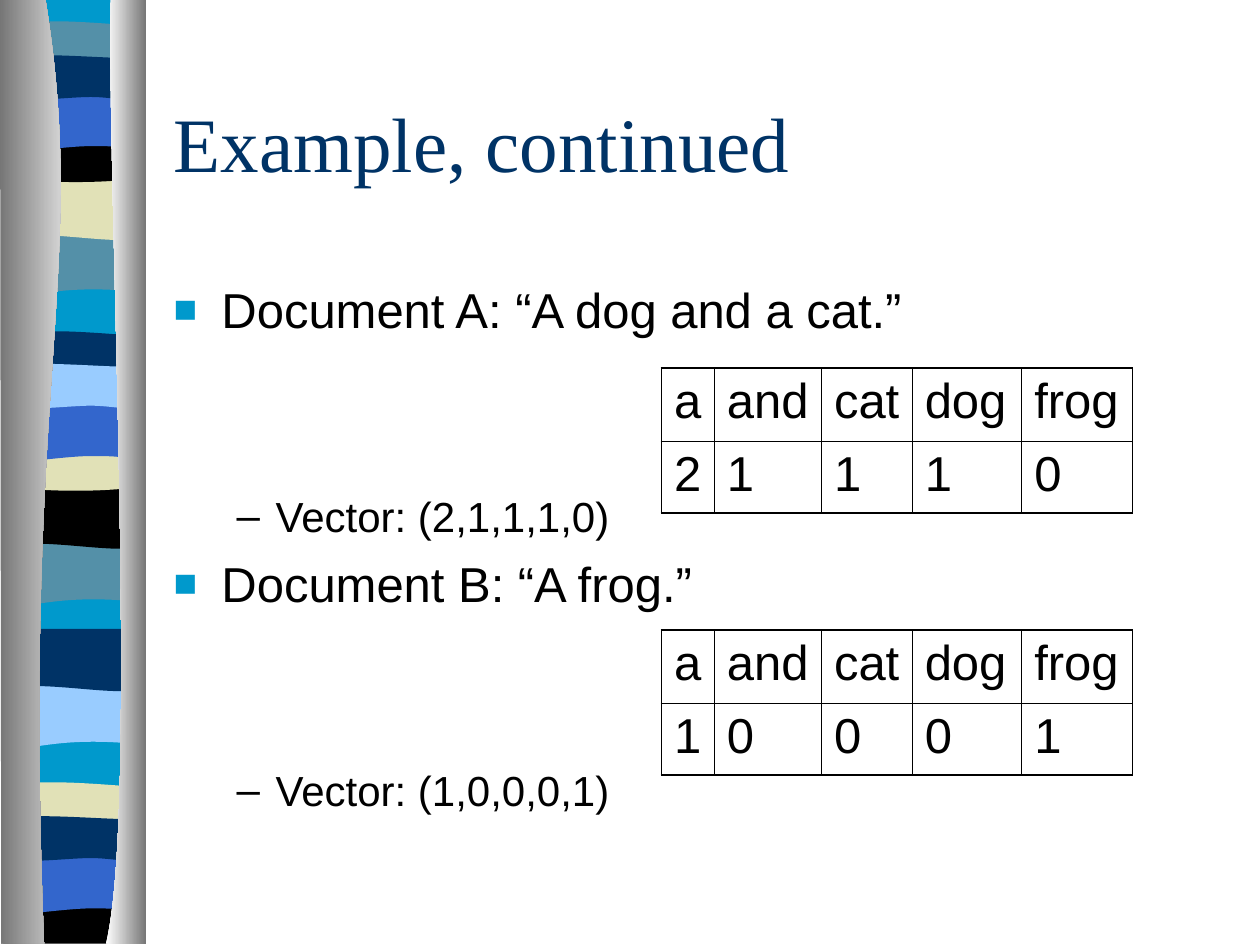
"""Build the slide with two term-count tables beside their document vectors."""
from lxml import etree
from pptx import Presentation
from pptx.dml.color import RGBColor
from pptx.enum.text import MSO_ANCHOR, PP_ALIGN
from pptx.oxml.ns import qn
from pptx.util import Inches, Pt

LEFT = PP_ALIGN.LEFT
MIDDLE, TOP = MSO_ANCHOR.MIDDLE, MSO_ANCHOR.TOP
COLORS = {
    "cyan": "0099CC", "teal": "5490A8", "sand": "E1E1B7", "black": "000000",
    "blue": "3366CC", "navy": "003366", "sky": "99CCFF", "gray": "767676",
    "white": "FFFFFF",
}


def draw_outline(shapes, start, segments, shift=0):
    """Draw a closed outline from line ends (x, y) and cubic segments (six numbers)."""
    points = [pair for segment in segments for pair in zip(segment[::2], segment[1::2])]
    builder = shapes.build_freeform(Inches(start[0]), Inches(start[1] + shift), scale=1.0)
    builder.add_line_segments([(Inches(x), Inches(y + shift)) for x, y in points])
    outline = builder.convert_to_shape()
    steps = iter(list(outline._element.iter(qn("a:lnTo"))))
    for segment in segments:
        step = next(steps)
        if len(segment) == 6:
            curve = etree.Element(qn("a:cubicBezTo"))
            step.addprevious(curve)
            for control in (step, next(steps), next(steps)):
                curve.append(control[0])
                control.getparent().remove(control)
    outline.shadow.inherit = False
    outline.line.fill.background()
    return outline


def add_run(paragraph, text, size, font, color):
    run = paragraph.add_run()
    run.text = text
    run.font.size = Pt(size)
    run.font.name = font
    run.font.color.rgb = RGBColor.from_string(COLORS[color])


prs = Presentation()
prs.slide_width, prs.slide_height = Inches(10), Inches(7.5)
slide = prs.slides.add_slide(prs.slide_layouts[5])

band_profiles = {
    "block": [(1.14, 7.48), (0.06, 7.48), (0.06, 0)],
    "floor": [(1.14, 0.37), (0.06, 0.37), (0.06, 0), (0.72, 0.05, 0.91, 0, 1.14, 0)],
    "dip": [(1.14, 0.47), (0.39, 0.39, 0.24, 0.55, 0.06, 0.47), (0.06, 0)],
    "swell": [(1.14, 0.47), (0.96, 0.55, 0.39, 0.41, 0.06, 0.47), (0.06, 0)],
    "lens": [(1.14, 0.24), (0.96, 0.28, 0.24, 0.28, 0.06, 0.24), (0.06, 0),
             (0.12, -0.05, 0.29, -0.04, 0.47, -0.04), (0.65, -0.04, 1, -0.01, 1.14, 0)],
    "bowl": [(1.14, 0.32), (0.96, 0.38, 0.24, 0.38, 0.06, 0.32), (0.06, 0),
             (0.72, 0.05, 0.91, 0, 1.14, 0)],
    "arch": [(1.14, 0.47), (0.97, 0.42, 0.9, 0.42, 0.72, 0.42),
             (0.54, 0.42, 0.22, 0.47, 0.06, 0.47), (0.06, 0)],
    "ripple": [(1.14, 0.31), (1.07, 0.36, 0.9, 0.31, 0.72, 0.31),
               (0.54, 0.31, 0.17, 0.36, 0.06, 0.31), (0.06, 0),
               (0.21, -0.05, 0.79, 0, 0.97, 0), (1.15, 0, 1.1, 0, 1.14, 0)],
}
bands = [
    ("block", -0.01, "cyan"),
    ("dip", 1.85, "teal"), ("swell", 1.41, "sand"), ("lens", 0.21, "teal"),
    ("bowl", 1.08, "black"), ("arch", 0.74, "blue"), ("ripple", 0.46, "navy"),
    ("dip", 4.31, "teal"), ("swell", 3.86, "black"), ("lens", 2.67, "navy"),
    ("bowl", 3.53, "sand"), ("arch", 3.2, "blue"), ("ripple", 2.91, "sky"),
    ("dip", 5.44, "sky"), ("swell", 4.99, "navy"), ("lens", 6.25, "sand"),
    ("floor", 7.12, "black"), ("arch", 6.79, "blue"), ("ripple", 6.5, "navy"),
]
for profile, top, color in bands:
    band = draw_outline(slide.shapes, (1.14, 0), band_profiles[profile], top)
    band.fill.solid()
    band.fill.fore_color.rgb = RGBColor.from_string(COLORS[color])

curtains = [
    ((0.36, -0.01), [(0.71, 2.16, 0.17, 2.96, 0.35, 7.49), (0.01, 7.49), (0, -0.01)],
     ("gray", "white")),
    ((0.88, -0.01), [(0.84, 1.25, 1.11, 6.46, 0.84, 7.49), (1.16, 7.49), (1.16, 0)],
     ("white", "gray")),
]
for start, segments, shades in curtains:
    curtain = draw_outline(slide.shapes, start, segments)
    curtain.fill.gradient()
    curtain.fill.gradient_angle = 0
    for position, (stop, shade) in enumerate(zip(curtain.fill.gradient_stops, shades)):
        stop.position = position
        stop.color.rgb = RGBColor.from_string(COLORS[shade])

title = slide.shapes.title
title.left, title.top, title.width, title.height = (Inches(n) for n in (1.28, 0.5, 8.5, 1.25))
title.text_frame.vertical_anchor = MIDDLE
heading = title.text_frame.paragraphs[0]
heading.alignment = LEFT
add_run(heading, "Example, continued", 44, "Times New Roman", "navy")

outline_text = slide.shapes.add_textbox(
    Inches(1.28), Inches(2.17), Inches(8.5), Inches(4.5)).text_frame
outline_text.word_wrap = True
outline_text.vertical_anchor = TOP
levels = [
    {"size": 28, "margin": 0.38, "hang": 0.38, "bullet": "■", "color": "cyan", "scale": 80},
    {"size": 24, "margin": 0.81, "hang": 0.31, "bullet": "–", "color": "black", "scale": 100},
]
entries = [
    ("Document A: “A dog and a cat.”", 0, 7),
    ("Vector: (2,1,1,1,0)", 1, 87),
    ("Document B: “A frog.”", 0, 7),
    ("Vector: (1,0,0,0,1)", 1, 87),
]
for index, (text, depth, gap) in enumerate(entries):
    level = levels[depth]
    entry = outline_text.add_paragraph() if index else outline_text.paragraphs[0]
    entry.level = depth
    entry.alignment = LEFT
    entry.space_before = Pt(gap)
    add_run(entry, text, level["size"], "Arial", "black")
    properties = entry._p.get_or_add_pPr()
    properties.set("marL", str(Inches(level["margin"])))
    properties.set("indent", str(-Inches(level["hang"])))
    bullet_color = etree.SubElement(properties, qn("a:buClr"))
    etree.SubElement(bullet_color, qn("a:srgbClr"), val=COLORS[level["color"]])
    etree.SubElement(properties, qn("a:buSzPct"), val=str(level["scale"] * 1000))
    etree.SubElement(properties, qn("a:buFont"), typeface="Arial")
    etree.SubElement(properties, qn("a:buChar"), char=level["bullet"])

terms = ["a", "and", "cat", "dog", "frog"]
column_widths = [0.42, 0.85, 0.72, 0.87, 0.88]
row_heights = [0.58, 0.57]
OUTER, INNER = Pt(1.08), Pt(0.45)
for top, counts in [(2.92, "21110"), (5, "10001")]:
    counts_table = slide.shapes.add_table(
        2, 5, Inches(5.25), Inches(top), Inches(3.74), Inches(1.15)).table
    counts_table.first_row = counts_table.horz_banding = False
    for column, width in zip(counts_table.columns, column_widths):
        column.width = Inches(width)
    for r, values in enumerate([terms, counts]):
        counts_table.rows[r].height = Inches(row_heights[r])
        for c, value in enumerate(values):
            cell = counts_table.cell(r, c)
            cell.vertical_anchor = TOP
            paragraph = cell.text_frame.paragraphs[0]
            paragraph.space_before = Pt(7)
            add_run(paragraph, value, 28, "Arial", "black")
            cell_properties = cell._tc.get_or_add_tcPr()
            edges = [("a:lnL", c == 0), ("a:lnR", c == 4), ("a:lnT", r == 0), ("a:lnB", r == 1)]
            for tag, is_outer in edges:
                border = etree.SubElement(
                    cell_properties, qn(tag), w=str(OUTER if is_outer else INNER))
                paint = etree.SubElement(border, qn("a:solidFill"))
                etree.SubElement(paint, qn("a:srgbClr"), val=COLORS["black"])
            cell.fill.background()

prs.save("out.pptx")
